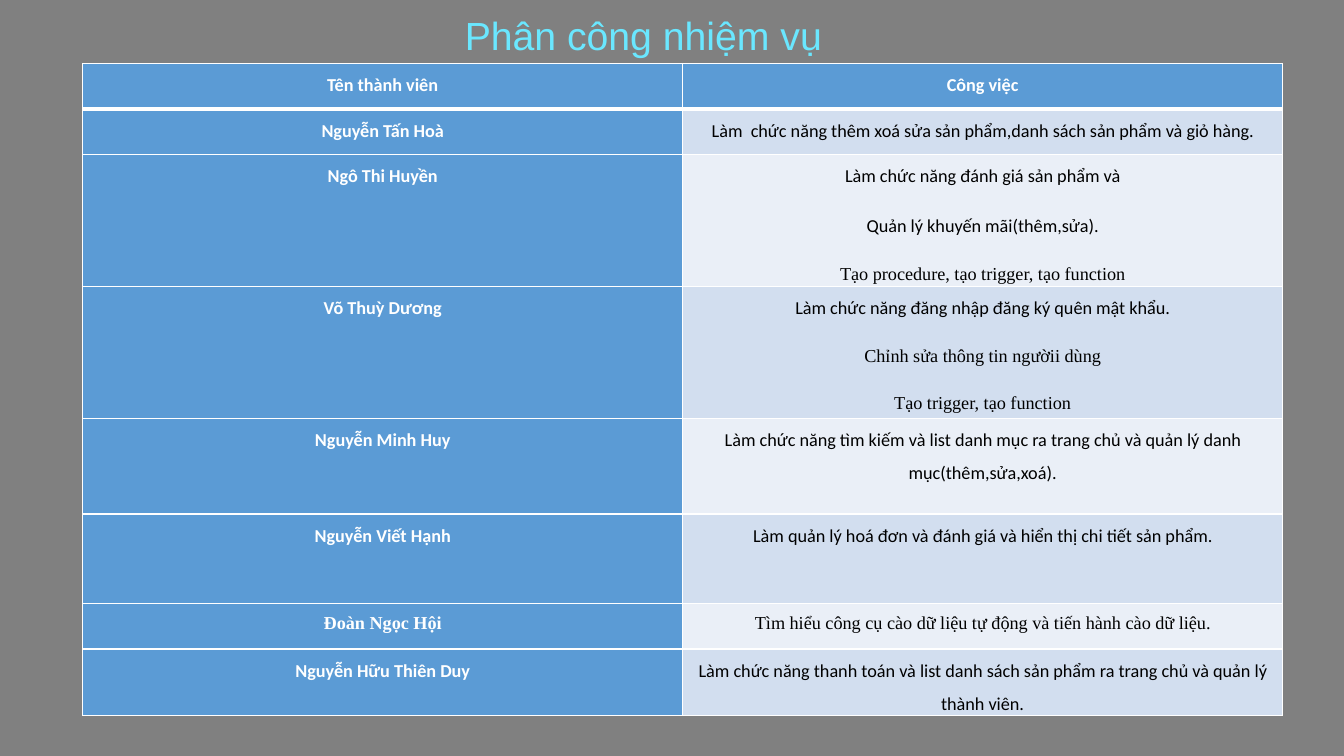
from lxml import etree
from pptx import Presentation
from pptx.dml.color import RGBColor
from pptx.enum.text import MSO_ANCHOR, MSO_AUTO_SIZE, PP_ALIGN
from pptx.oxml.ns import qn
from pptx.util import Inches, Pt

COLORS = {
    "backdrop": "808080",
    "title": "6AE7FF",
    "header": "5B9BD5",
    "band_dark": "D2DEEF",
    "band_light": "EAEFF7",
    "white": "FFFFFF",
    "black": "000000",
}
SANS, SERIF = "Calibri", "Times New Roman"

# Each row: height, name, font of the name, then its tasks with their fonts
ROWS = [
    (0.45, "Tên thành viên", SANS, [("Công việc", SANS)]),
    (0.45, "Nguyễn Tấn Hoà", SANS, [
        ("Làm  chức năng thêm xoá sửa sản phẩm,danh sách sản phẩm và giỏ hàng.", SANS)]),
    (1.31, "Ngô Thi Huyền", SANS, [
        ("Làm chức năng đánh giá sản phẩm và", SANS),
        ("Quản lý khuyến mãi(thêm,sửa).", SANS),
        ("Tạo procedure, tạo trigger, tạo function", SERIF)]),
    (1.31, "Võ Thuỳ Dương", SANS, [
        ("Làm chức năng đăng nhập đăng ký quên mật khẩu.", SANS),
        ("Chỉnh sửa thông tin ngườii dùng", SERIF),
        ("Tạo trigger, tạo function", SERIF)]),
    (0.95, "Nguyễn Minh Huy", SANS, [
        ("Làm chức năng tìm kiếm và list danh mục ra trang chủ và quản lý danh "
         "mục(thêm,sửa,xoá).", SANS)]),
    (0.89, "Nguyễn Viết Hạnh", SANS, [
        ("Làm quản lý hoá đơn và đánh giá và hiển thị chi tiết sản phẩm.", SANS)]),
    (0.45, "Đoàn Ngọc Hội", SERIF, [
        ("Tìm hiểu công cụ cào dữ liệu tự động và tiến hành cào dữ liệu.", SERIF)]),
    (0.65, "Nguyễn Hữu Thiên Duy", SANS, [
        ("Làm chức năng thanh toán và list danh sách sản phẩm ra trang chủ và quản lý "
         "thành viên.", SANS)]),
]


def style_cell(cell, fill, bottom_width):
    """Set margins, white borders and fill; borders must precede the fill in the XML."""
    cell.margin_left = cell.margin_right = Inches(0.07)
    cell.margin_top = cell.margin_bottom = 0
    properties = cell._tc.get_or_add_tcPr()
    for side, width in (("lnL", 1), ("lnR", 1), ("lnT", 1), ("lnB", bottom_width)):
        line = etree.SubElement(properties, qn(f"a:{side}"), w=str(Pt(width)))
        solid = etree.SubElement(line, qn("a:solidFill"))
        etree.SubElement(solid, qn("a:srgbClr"), val=COLORS["white"])
    cell.fill.solid()
    cell.fill.fore_color.rgb = RGBColor.from_string(COLORS[fill])


def write_cell(cell, lines, color, bold):
    frame = cell.text_frame
    for index, (text, font_name) in enumerate(lines):
        para = frame.add_paragraph() if index else frame.paragraphs[0]
        para.text = text
        para.alignment = PP_ALIGN.CENTER
        para.line_spacing = 1.5
        para.space_before = Pt(6 if index else 0)
        para.space_after = Pt(6)
        para.font.name = font_name
        para.font.size = Pt(13)
        para.font.bold = bold
        para.font.color.rgb = RGBColor.from_string(COLORS[color])


deck = Presentation()
deck.slide_width, deck.slide_height = Inches(13.33), Inches(7.5)
page = deck.slides.add_slide(deck.slide_layouts[5])
page.background.fill.solid()
page.background.fill.fore_color.rgb = RGBColor.from_string(COLORS["backdrop"])

title = page.shapes.title
title.left, title.top = Inches(2.76), Inches(0.06)
title.width, title.height = Inches(7.24), Inches(0.57)
title.text_frame.auto_size = MSO_AUTO_SIZE.NONE
title.text_frame.vertical_anchor = MSO_ANCHOR.MIDDLE
heading = title.text_frame.paragraphs[0]
heading.text = "Phân công nhiệm vụ"
heading.alignment = PP_ALIGN.CENTER
heading.font.name = "Arial"
heading.font.size = Pt(28)
heading.font.color.rgb = RGBColor.from_string(COLORS["title"])

total_height = sum(row[0] for row in ROWS)
table = page.shapes.add_table(
    len(ROWS), 2, Inches(0.82), Inches(0.63), Inches(11.9), Inches(total_height)).table
table.first_row = table.horz_banding = False

for number, (height, name, name_font, tasks) in enumerate(ROWS):
    table.rows[number].height = Inches(height)
    is_header = number == 0
    band = "header" if is_header else "band_dark" if number % 2 else "band_light"
    name_cell, task_cell = table.cell(number, 0), table.cell(number, 1)
    style_cell(name_cell, "header", 3 if is_header else 1)
    style_cell(task_cell, band, 3 if is_header else 1)
    write_cell(name_cell, [(name, name_font)], "white", True)
    write_cell(task_cell, tasks, "white" if is_header else "black", is_header)

deck.save("out.pptx")
